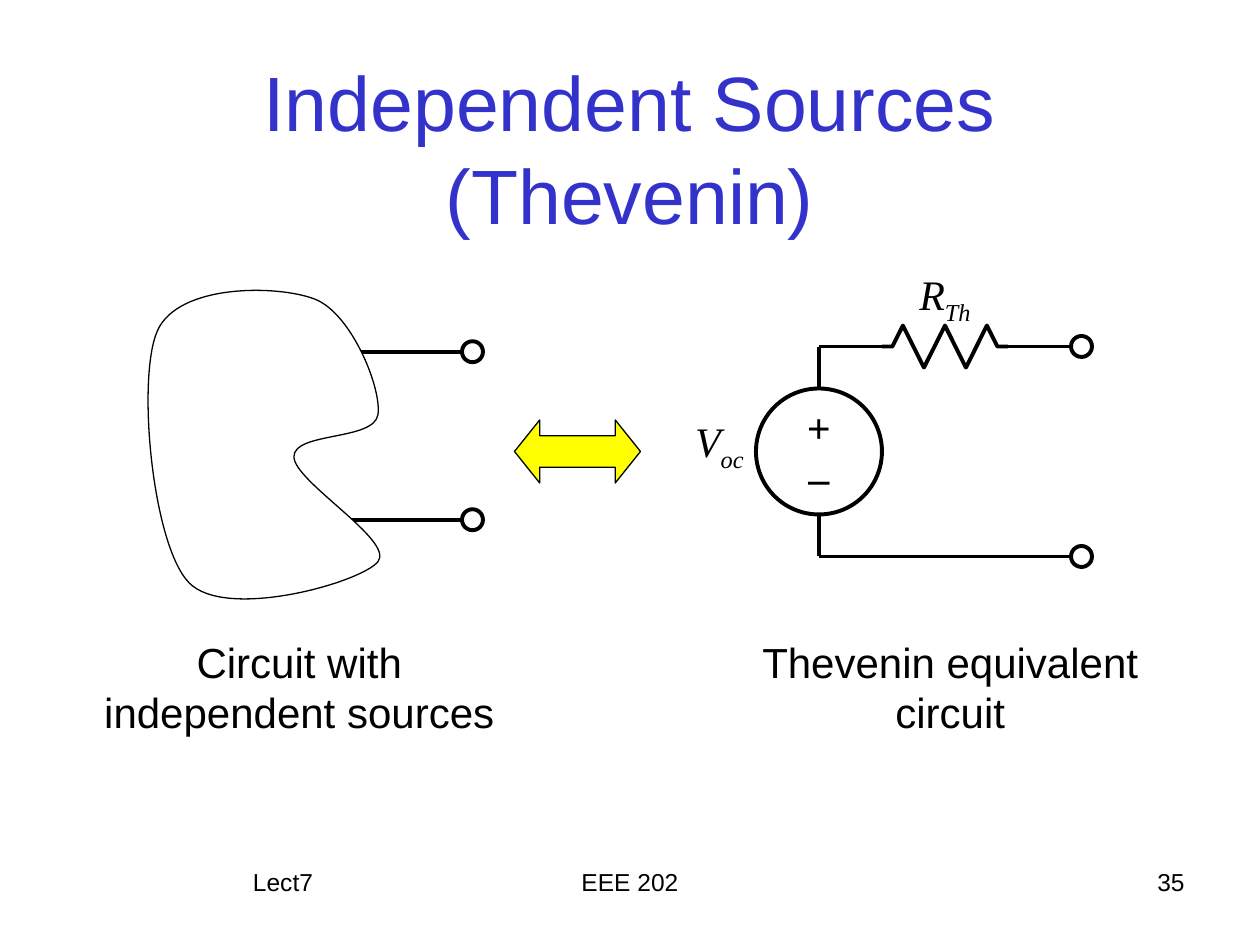
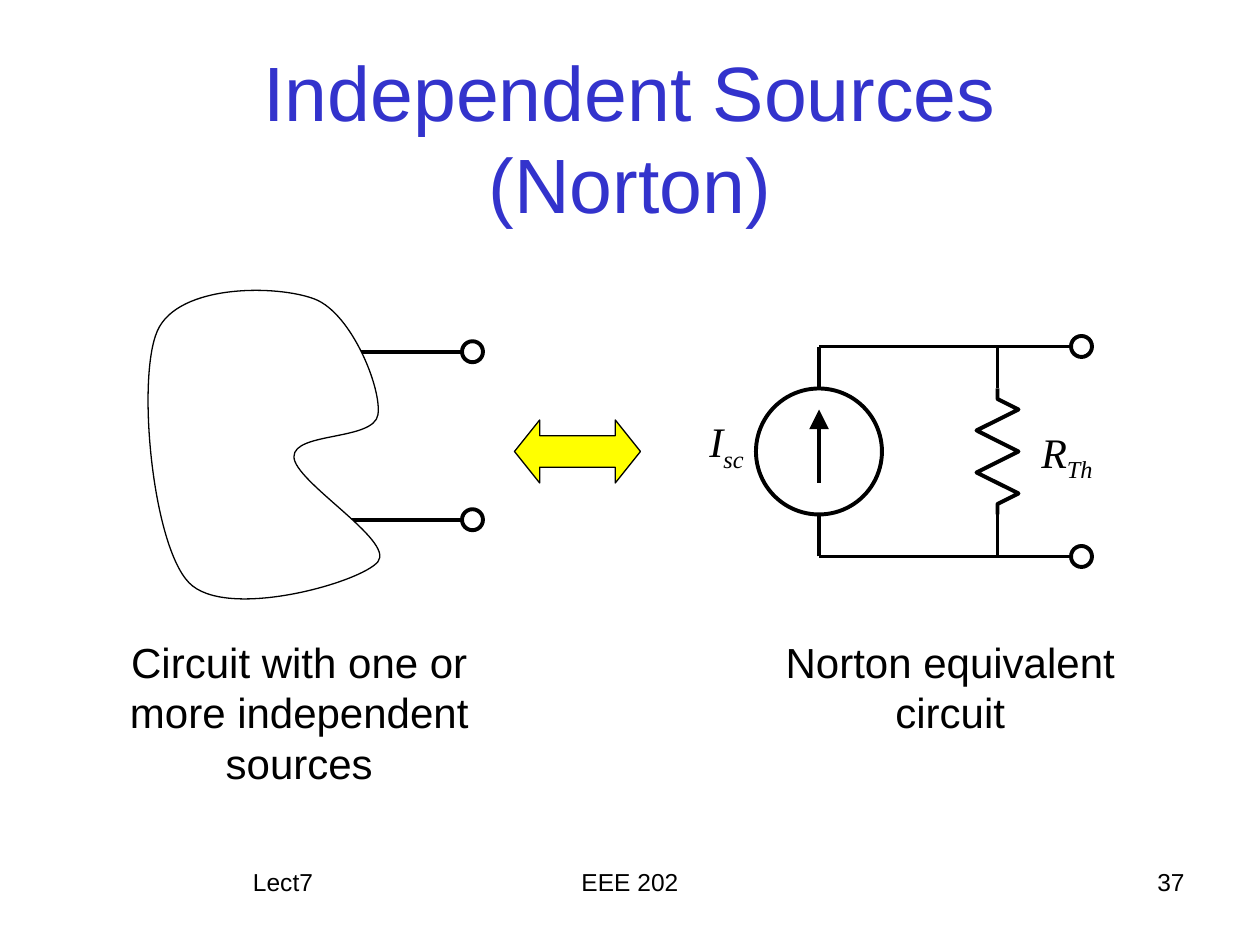
"""Build two slides on Thevenin and Norton equivalents of circuits with independent sources."""
import lxml.etree
import pptx
import pptx.dml.color
import pptx.enum.shapes
import pptx.enum.text
import pptx.oxml.ns
import pptx.util

PX = 9525
BLACK, WHITE, BLUE, YELLOW = "000000", "FFFFFF", "3333CC", "FFFF00"
THIN, THICK = 0.75, 2.25
ink = pptx.dml.color.RGBColor.from_string
qn = pptx.oxml.ns.qn
SHAPE = pptx.enum.shapes.MSO_SHAPE
ANCHOR = pptx.enum.text.MSO_ANCHOR
ALIGN = pptx.enum.text.PP_ALIGN
LEFT, CENTER, RIGHT = ALIGN.LEFT, ALIGN.CENTER, ALIGN.RIGHT


def write(box, text, subscript="", size=24, font="Arial", color=BLACK, align=CENTER,
          anchor=ANCHOR.TOP, bold=False, italic=False, wrap=True):
    frame = box.text_frame
    frame.text = text
    frame.word_wrap = wrap
    frame.vertical_anchor = anchor
    if subscript:
        span = frame.paragraphs[0].add_run()
        span.text = subscript
        span._r.get_or_add_rPr().set("baseline", "-25000")
    for para in frame.paragraphs:
        para.alignment = align
        for span in para.runs:
            span.font.name, span.font.size = font, pptx.util.Pt(size)
            span.font.bold, span.font.italic = bold, italic
            span.font.color.rgb = ink(color)


def style(shape, width=THICK, fill=None):
    shape.shadow.inherit = False
    shape.line.color.rgb = ink(BLACK)
    shape.line.width = pptx.util.Pt(width)
    if fill:
        shape.fill.solid()
        shape.fill.fore_color.rgb = ink(fill)
    else:
        shape.fill.background()


TOP, BOTTOM = 264, 424
SOURCE_X, TERMINAL_X, NORTON_X = 624, 816, 760
SOURCE_TOP, SOURCE_BOTTOM = 296, 392
PORT_X, PORT_YS = 352, (396, 268)

blob = [
    (120, 252),
    (136, 216), (212, 217), (240, 228),
    (268, 239), (291, 296), (288, 316),
    (285, 336), (224, 329), (224, 348),
    (224, 367), (301, 412), (288, 428),
    (275, 444), (172, 473), (144, 444),
    (116, 415), (104, 288), (120, 252),
]
zigzag = list(zip((0, 8, 16, 32, 48, 64, 80, 88, 96),
                  (0, 0, 16, -16, 16, -16, 16, 0, 0)))

slides = [
    dict(
        title="Independent Sources (Thevenin)", title_height=176, number="35",
        captions=("Circuit with independent sources", "Thevenin equivalent circuit"),
        caption_height=86,
        source=("V", "oc"), source_text="+\n–",
        resistor=[(672 + along, TOP - across) for along, across in zigzag],
        resistor_label=(672, 200, CENTER),
        wires=[(SOURCE_X, TOP, 672, TOP), (TERMINAL_X, TOP, 768, TOP)],
        arrows=[],
    ),
    dict(
        title="Independent Sources\v(Norton)", title_height=160, number="37",
        captions=("Circuit with one or more independent sources",
                  "Norton equivalent circuit"),
        caption_height=125,
        source=("I", "sc"), source_text="",
        resistor=[(NORTON_X + across, SOURCE_TOP + along) for along, across in zigzag],
        resistor_label=(784, 320, LEFT),
        wires=[(TERMINAL_X, TOP, SOURCE_X, TOP),
               (NORTON_X, SOURCE_TOP, NORTON_X, TOP),
               (NORTON_X, BOTTOM, NORTON_X, SOURCE_BOTTOM)],
        arrows=[(SOURCE_X, 368, SOURCE_X, 312)],
    ),
]
shared_wires = [(240, y, PORT_X, y) for y in PORT_YS] + [
    (SOURCE_X, SOURCE_TOP, SOURCE_X, TOP),
    (SOURCE_X, BOTTOM, SOURCE_X, SOURCE_BOTTOM),
    (TERMINAL_X, BOTTOM, SOURCE_X, BOTTOM),
]
terminals = [(PORT_X, y) for y in PORT_YS] + [(TERMINAL_X, y) for y in (TOP, BOTTOM)]

deck = pptx.Presentation()
deck.slide_width, deck.slide_height = 960 * PX, 720 * PX

for slide in slides:
    page = deck.slides.add_slide(deck.slide_layouts[6])
    shapes = page.shapes

    for ends in shared_wires + slide["wires"] + slide["arrows"]:
        wire = shapes.add_connector(pptx.enum.shapes.MSO_CONNECTOR.STRAIGHT,
                                    *(end * PX for end in ends))
        wire.line.color.rgb = ink(BLACK)
        wire.line.width = pptx.util.Pt(THICK)
        if ends in slide["arrows"]:
            lxml.etree.SubElement(wire.line._get_or_add_ln(), qn("a:tailEnd"),
                                  type="triangle", w="lg", len="lg")
        lxml.etree.SubElement(wire._element.spPr, qn("a:effectLst"))

    for points, curved, width, fill in ((blob, True, THIN, WHITE),
                                        (slide["resistor"], False, THICK, None)):
        builder = shapes.build_freeform(*points[0], scale=PX)
        builder.add_line_segments(points[1:], close=curved)
        outline = builder.convert_to_shape()
        style(outline, width, fill)
        if curved:
            segments = list(outline._element.iter(qn("a:lnTo")))
            for first in range(0, len(segments), 3):
                curve = lxml.etree.Element(qn("a:cubicBezTo"))
                segments[first].addprevious(curve)
                for segment in segments[first:first + 3]:
                    curve.append(segment[0])
                    segment.getparent().remove(segment)

    for x, y in terminals:
        style(shapes.add_shape(SHAPE.OVAL, x * PX, (y - 8) * PX, 16 * PX, 16 * PX))

    source = shapes.add_shape(SHAPE.OVAL, 576 * PX, SOURCE_TOP * PX, 96 * PX, 96 * PX)
    style(source)
    if slide["source_text"]:
        write(source, slide["source_text"], font="Times New Roman", bold=True,
              anchor=ANCHOR.MIDDLE, wrap=False)

    swap = shapes.add_shape(SHAPE.LEFT_RIGHT_ARROW, 392 * PX, 320 * PX, 96 * PX, 48 * PX)
    swap.adjustments[1] = 0.4
    style(swap, THIN, YELLOW)

    symbol = dict(font="Times New Roman", italic=True)
    footer = dict(size=14)
    label_x, label_y, label_align = slide["resistor_label"]
    left_caption, right_caption = slide["captions"]
    letter, index = slide["source"]
    texts = [
        (slide["title"], (48, 24, 864, slide["title_height"]),
         dict(size=44, color=BLUE, anchor=ANCHOR.MIDDLE)),
        (left_caption, (64, 480, 328, slide["caption_height"]), {}),
        (right_caption, (560, 480, 328, 86), {}),
        (letter, (504, 312, 72, 48), dict(symbol, subscript=index, align=RIGHT)),
        ("R", (label_x, label_y, 96, 48),
         dict(symbol, subscript="Th", align=label_align)),
        ("Lect7", (48, 656, 200, 48), dict(footer, align=RIGHT)),
        ("EEE 202", (328, 656, 304, 48), footer),
        (slide["number"], (712, 656, 200, 48), dict(footer, align=RIGHT)),
    ]
    for text, place, look in texts:
        write(shapes.add_textbox(*(length * PX for length in place)), text, **look)

deck.save("out.pptx")
